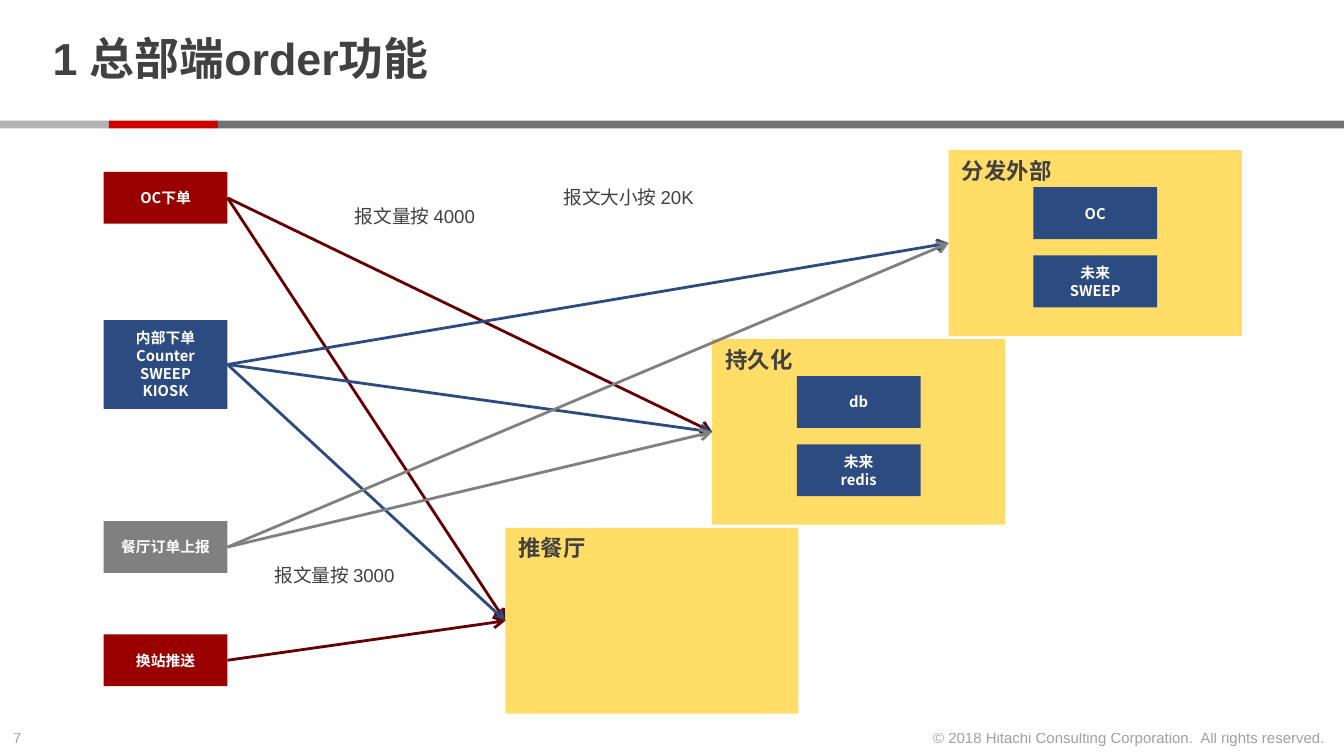
from lxml import etree
from pptx import Presentation
from pptx.dml.color import RGBColor
from pptx.enum.shapes import MSO_CONNECTOR as CONN, MSO_SHAPE as SHAPE
from pptx.enum.text import MSO_ANCHOR as ANCHOR, PP_ALIGN as ALIGN
from pptx.oxml.ns import qn
from pptx.util import Cm, Pt

W, H = 25.4, 14.29
NODE_W, NODE_H = 2.34, 0.98
PANEL_W, PANEL_H = 5.54, 3.51
INK, WHITE, YELLOW = "414141", "FFFFFF", "FFDD66"
RED, DARK_RED, BLUE, GREY = "990000", "660000", "2C4B80", "808080"
CJK = "Noto Sans CJK SC"


def rgb(value):
    """Turn a hex string into a colour."""
    return RGBColor.from_string(value)


def style(tf, size, color=INK, bold=False, font="Arial", align=ALIGN.LEFT, alpha=None):
    """Format every run of a text frame."""
    for p in tf.paragraphs:
        p.alignment = align
        for r in p.runs:
            f = r.font
            f.size, f.bold, f.name = Pt(size), bold, font
            f.color.rgb = rgb(color)
            f._element.find(qn("a:latin")).addnext(
                etree.Element(qn("a:ea"), typeface=CJK))
            if alpha:
                clr = f._element.find(".//" + qn("a:srgbClr"))
                etree.SubElement(clr, qn("a:alpha"), val=str(alpha * 1000))


def add_rect(slide, x, y, w, h, color):
    """Add a plain filled rectangle."""
    sp = slide.shapes.add_shape(SHAPE.RECTANGLE, Cm(x), Cm(y), Cm(w), Cm(h))
    sp.shadow.inherit = False
    sp.fill.solid()
    sp.fill.fore_color.rgb = rgb(color)
    sp.line.fill.background()
    return sp


def add_node(slide, x, y, text, color, h=NODE_H):
    """Add a coloured box with a centred label."""
    sp = add_rect(slide, x, y, NODE_W, h, color)
    tf = sp.text_frame
    tf.text = text
    tf.vertical_anchor = ANCHOR.MIDDLE
    style(tf, 7.9, WHITE, True, CJK, ALIGN.CENTER)
    return sp


def add_panel(slide, x, y, name, labels):
    """Add a yellow target panel with its stacked inner nodes."""
    sp = add_rect(slide, x, y, PANEL_W, PANEL_H, YELLOW)
    tf = sp.text_frame
    tf.text = name
    tf.vertical_anchor = ANCHOR.TOP
    style(tf, 12, bold=True)
    for i, label in enumerate(labels):
        add_node(slide, x + (PANEL_W - NODE_W) / 2, y + 0.7 + 1.29 * i, label, BLUE)
    return sp


def add_text(slide, x, y, w, h, text, size, wrap=True, **kw):
    """Add a text box centred vertically."""
    tf = slide.shapes.add_textbox(Cm(x), Cm(y), Cm(w), Cm(h)).text_frame
    tf.text = text
    tf.word_wrap = wrap
    tf.vertical_anchor = ANCHOR.MIDDLE
    style(tf, size, **kw)


def add_flow(slide, panel, node, color):
    """Join a node to a panel, with the arrowhead at the panel."""
    c = slide.shapes.add_connector(CONN.STRAIGHT, 0, 0, 0, 0)
    c.begin_connect(panel, 1)
    c.end_connect(node, 3)
    c.line.color.rgb = rgb(color)
    c.line.width = Pt(1.5)
    etree.SubElement(c.line._get_or_add_ln(), qn("a:headEnd"), type="arrow")
    etree.SubElement(c._element.spPr, qn("a:effectLst"))


def add_title(slide, x, y, w, h, text):
    """Place and format the title placeholder."""
    sp = slide.shapes.title
    sp.left, sp.top, sp.width, sp.height = Cm(x), Cm(y), Cm(w), Cm(h)
    tf = sp.text_frame
    tf.text = text
    tf.vertical_anchor = ANCHOR.MIDDLE
    tf.margin_top = tf.margin_bottom = 0
    tf.paragraphs[0].line_spacing = 0.85
    style(tf, 24, bold=True)


def add_band(slide, x, y, w, h):
    """Draw the three-coloured rule under the title."""
    step = 2.06
    for i, (width, color) in enumerate(
            [(step, "B3B3B3"), (step, "CC0000"), (w - 2 * step, "737373")]):
        add_rect(slide, x + step * i, y, width, h, color)


def add_footer(slide, x, y, w, h):
    """Add the page number and the copyright line."""
    add_text(slide, x, y, 0.86, h, "7", 8, wrap=False, alpha=50)
    add_text(slide, x + w - 8.13, y, 8.03, h,
             "© 2018 Hitachi Consulting Corporation.\u00a0 All rights reserved.",
             8, wrap=False, align=ALIGN.RIGHT, alpha=50)


def add_diagram(slide, x, y):
    """Draw the sources, target panels, flows and volume notes."""
    store, restaurant, external = [
        add_panel(slide, x + dx, y + 3.57 * row, name, labels)
        for dx, row, name, labels in [
            (11.5, 1, "持久化", ["db", "未来\nredis"]),
            (7.59, 2, "推餐厅", []),
            (15.97, 0, "分发外部", ["OC", "未来\nSWEEP"])]]
    order = add_node(slide, x, y + 0.41, "OC下单", RED)
    internal = add_node(slide, x, y + 3.21, "内部下单\nCounter\nSWEEP\nKIOSK", BLUE, 1.68)
    report = add_node(slide, x, y + 7.01, "餐厅订单上报", GREY)
    switch = add_node(slide, x, y + 9.15, "换站推送", RED)
    for node, color, panels in [(order, DARK_RED, [store, restaurant]),
                                (internal, BLUE, [store, external, restaurant]),
                                (report, GREY, [external, store]),
                                (switch, DARK_RED, [restaurant])]:
        for panel in panels:
            add_flow(slide, panel, node, color)
    for dx, dy, w, text in [(4.5, 0.9, 2.82, "报文量按 4000"),
                            (2.98, 7.69, 2.82, "报文量按 3000"),
                            (8.44, 0.55, 3.02, "报文大小按 20K")]:
        add_text(slide, x + dx, y + dy, w, 0.68, text, 10)


def main():
    """Build and save the slide."""
    prs = Presentation()
    prs.slide_width, prs.slide_height = Cm(W), Cm(H)
    slide = prs.slides.add_slide(prs.slide_layouts[5])
    add_band(slide, 0, 2.28, W, 0.15)
    add_footer(slide, 0, 13.65, W, 0.6)
    add_title(slide, 0.74, 0.15, 19.58, 2.03, "1 总部端order功能")
    add_diagram(slide, 1.96, 2.84)
    prs.save("out.pptx")


if __name__ == "__main__":
    main()
